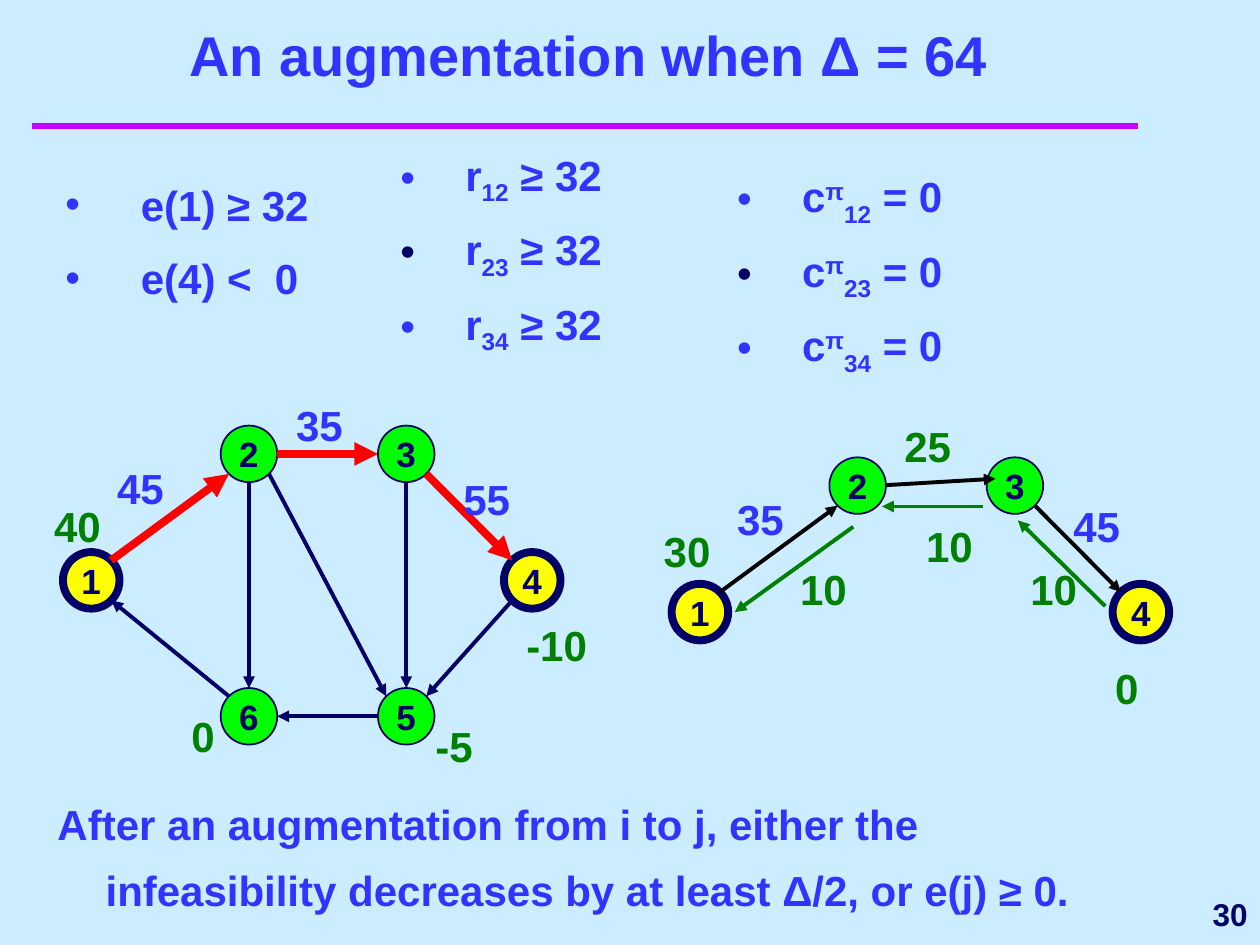
import dataclasses
import math

import lxml.etree
import pptx
import pptx.dml.color
import pptx.enum.shapes
import pptx.enum.text
import pptx.oxml.ns
import pptx.util

Cm = pptx.util.Cm
Align = pptx.enum.text.PP_ALIGN
Anchor = pptx.enum.text.MSO_ANCHOR
qn = pptx.oxml.ns.qn


@dataclasses.dataclass(frozen=True)
class Theme:
    """Colours, type sizes and repeated measures."""
    font: str = "Arial"
    background: str = "CCECFF"
    blue: str = "3333FF"
    navy: str = "000066"
    green: str = "008000"
    black: str = "000000"
    red: str = "FF0000"
    magenta: str = "CC00FF"
    terminal: str = "FFFF00"
    inner: str = "00FF00"
    title: int = 32
    body: int = 24
    node: int = 20
    number: int = 18
    thin: float = 1
    edge: float = 2.25
    rule: float = 4
    thick: float = 4.5
    diameter: float = 1.14


def color(value):
    """Turn a hex string into a colour."""
    return pptx.dml.color.RGBColor.from_string(value)


class Painter:
    """Holds the theme, the slide and the shape tree being filled."""

    def __init__(self, slide, theme):
        self.slide = slide
        self.theme = theme
        self.shapes = slide.shapes
        slide.background.fill.solid()
        slide.background.fill.fore_color.rgb = color(theme.background)

    def start_group(self):
        """Send the next elements into a new group."""
        self.shapes = self.slide.shapes.add_group_shape().shapes

    def end_group(self):
        """Send the next elements straight to the slide."""
        self.shapes = self.slide.shapes

    def style(self, paragraph, size, value, align=Align.LEFT, spacing=1.0):
        """Format a whole paragraph."""
        paragraph.alignment = align
        paragraph.line_spacing = spacing
        paragraph.font.name = self.theme.font
        paragraph.font.size = pptx.util.Pt(size)
        paragraph.font.bold = True
        paragraph.font.color.rgb = color(value)

    def title(self, text, box):
        """Fill and place the title placeholder."""
        shape = self.slide.shapes.title
        shape.left, shape.top, shape.width, shape.height = map(Cm, box)
        shape.text_frame.text = text
        shape.text_frame.vertical_anchor = Anchor.BOTTOM
        self.style(shape.text_frame.paragraphs[0], self.theme.title, self.theme.blue, Align.CENTER)

    def text(self, text, box, size, value, **layout):
        """Add a wrapped text box with one paragraph."""
        frame = self.shapes.add_textbox(*map(Cm, box)).text_frame
        frame.word_wrap = True
        frame.text = text
        self.style(frame.paragraphs[0], size, value, **layout)
        return frame

    def label(self, text, left, top, value):
        """Add a number beside a node or an edge."""
        self.text(text, (left, top, 2.1, 1.37), self.theme.body, value, spacing=1.1)

    def hang(self, paragraph, margin, hanging):
        """Set a hanging indent and return the paragraph properties."""
        properties = paragraph._p.get_or_add_pPr()
        properties.set("marL", str(Cm(margin)))
        properties.set("indent", str(-Cm(hanging)))
        return properties

    def bullets(self, items, box, indent, bullet_colors, space=0):
        """Add a bulleted list; each item is a list of (text, baseline)."""
        frame = self.shapes.add_textbox(*map(Cm, box)).text_frame
        frame.word_wrap = True
        for index, (item, bullet_color) in enumerate(zip(items, bullet_colors)):
            paragraph = frame.add_paragraph() if index else frame.paragraphs[0]
            if index:
                paragraph.space_before = pptx.util.Pt(space)
            paragraph.line_spacing = 1.3
            properties = self.hang(paragraph, indent, indent)
            holder = lxml.etree.SubElement(properties, qn("a:buClr"))
            lxml.etree.SubElement(holder, qn("a:srgbClr"), val=bullet_color)
            lxml.etree.SubElement(properties, qn("a:buFont"), typeface=self.theme.font)
            lxml.etree.SubElement(properties, qn("a:buChar"), char="•")
            self.style(paragraph, self.theme.body, self.theme.blue, spacing=1.3)
            for text, baseline in item:
                run = paragraph.add_run()
                run.text = text
                if baseline:
                    run._r.get_or_add_rPr().set("baseline", str(baseline * 1000))

    def node(self, text, left, top, terminal):
        """Add a numbered circle."""
        theme = self.theme
        shape = self.shapes.add_shape(
            pptx.enum.shapes.MSO_SHAPE.OVAL, Cm(left), Cm(top), Cm(theme.diameter), Cm(theme.diameter))
        shape.shadow.inherit = False
        shape.fill.solid()
        shape.fill.fore_color.rgb = color(theme.terminal if terminal else theme.inner)
        shape.line.color.rgb = color(theme.navy)
        shape.line.width = pptx.util.Pt(theme.thick if terminal else theme.thin)
        frame = shape.text_frame
        frame.word_wrap = False
        frame.vertical_anchor = Anchor.MIDDLE
        frame.text = text
        self.style(frame.paragraphs[0], theme.node, theme.navy, Align.CENTER)

    def line(self, start, end, value, width, arrow=True):
        """Add a straight line, with an arrowhead at its end if wanted."""
        connector = self.shapes.add_connector(
            pptx.enum.shapes.MSO_CONNECTOR.STRAIGHT, *map(Cm, (*start, *end)))
        connector.line.color.rgb = color(value)
        connector.line.width = pptx.util.Pt(width)
        if arrow:
            lxml.etree.SubElement(connector.line._get_or_add_ln(), qn("a:tailEnd"), type="triangle")
        lxml.etree.SubElement(connector._element.spPr, qn("a:effectLst"))

    def rim(self, position, angle):
        """Return the point of a node's rim at an angle, clockwise from the right."""
        radius = self.theme.diameter / 2
        turn = math.radians(angle)
        return (position[0] + radius * (1 + math.cos(turn)), position[1] + radius * (1 + math.sin(turn)))

    def graph(self, nodes, edges, arrows, labels):
        """Draw a network as one group."""
        self.start_group()
        for name, (left, top) in nodes.items():
            self.node(name, left, top, name in "14")
        for tail, angle, head, value, width in edges:
            ends = self.rim(nodes[tail], angle), self.rim(nodes[head], angle + 180)
            self.line(*ends, value, width)
        for start, end, value in arrows:
            self.line(start, end, value, self.theme.edge)
        for label in labels:
            self.label(*label)
        self.end_group()


def main():
    """Build the slide."""
    theme = Theme()
    presentation = pptx.Presentation()
    presentation.slide_width, presentation.slide_height = Cm(25.4), Cm(19.05)
    painter = Painter(presentation.slides.add_slide(presentation.slide_layouts[5]), theme)
    blue, green, navy = theme.blue, theme.green, theme.navy

    painter.line((0.64, 2.54), (22.94, 2.54), theme.magenta, theme.rule, arrow=False)
    painter.title("An augmentation when Δ = 64", (1.07, 0.43, 21.59, 1.47))
    number = painter.text("30", (20.52, 17.78, 4.88, 1.27), theme.number, navy, align=Align.RIGHT)
    number.vertical_anchor = Anchor.MIDDLE

    arcs = ("12", "23", "34")
    arc_bullets = (blue, navy, blue)
    excesses = [[("e(1) ≥ 32", 0)], [("e(4) <  0", 0)]]
    residuals = [[("r", 0), (arc, -25), (" ≥ 32", 0)] for arc in arcs]
    costs = [[("c", 0), ("π", 30), (arc, -25), (" = 0", 0)] for arc in arcs]
    painter.bullets(excesses, (1.07, 3.18, 6.15, 3.05), 1.52, (blue, blue), space=4.5)
    painter.bullets(residuals, (7.82, 2.54, 4.88, 4.78), 1.31, arc_bullets)
    painter.bullets(costs, (14.61, 2.97, 6.55, 4.78), 1.31, arc_bullets)

    before = {"1": (1.27, 11.13), "2": (4.45, 8.58), "3": (7.62, 8.58),
              "4": (10.16, 11.13), "5": (7.62, 13.87), "6": (4.45, 13.87)}
    after = {name: (before[name][0] + 12.27, before[name][1] + 0.64) for name in "1234"}
    path_edges = [("1", -45, "2"), ("2", 0, "3"), ("3", 45, "4")]
    other_edges = [("2", 90, "6"), ("2", 45, "5"), ("4", 135, "5"),
                   ("5", 180, "6"), ("6", 225, "1"), ("3", 90, "5")]
    painter.graph(
        before,
        [(*edge, theme.red, theme.thick) for edge in path_edges]
        + [(*edge, navy, theme.edge) for edge in other_edges],
        [],
        [("35", 5.72, 7.82, blue), ("55", 9.09, 9.32, blue), ("45", 2.11, 9.09, blue),
         ("-10", 10.36, 12.27, green), ("-5", 8.53, 14.3, green),
         ("0", 3.61, 14.1, green), ("40", 0.84, 9.86, green)])
    painter.graph(
        after,
        [(*edge, theme.black, theme.edge) for edge in path_edges[::2]],
        [((17.86, 9.78), (20.07, 9.65), theme.black), ((22.28, 12.22), (20.52, 10.49), green),
         ((19.81, 10.21), (17.78, 10.21), green), ((17.2, 10.62), (14.81, 12.34), green)],
        [("35", 14.61, 9.73, blue), ("45", 21.39, 9.86, blue), ("25", 17.98, 8.26, green),
         ("0", 22.23, 13.13, green), ("30", 13.13, 10.36, green), ("10", 20.52, 11.13, green),
         ("10", 18.42, 10.26, green), ("10", 15.88, 11.13, green)])

    closing = painter.text(
        "After an augmentation from i to j, either the\v"
        "infeasibility decreases by at least Δ/2, or e(j) ≥ 0.",
        (0, 15.67, 23.5, 2.9), theme.body, blue, spacing=1.3)
    painter.hang(closing.paragraphs[0], 1.88, 0.97)
    presentation.save("out.pptx")


if __name__ == "__main__":
    main()
